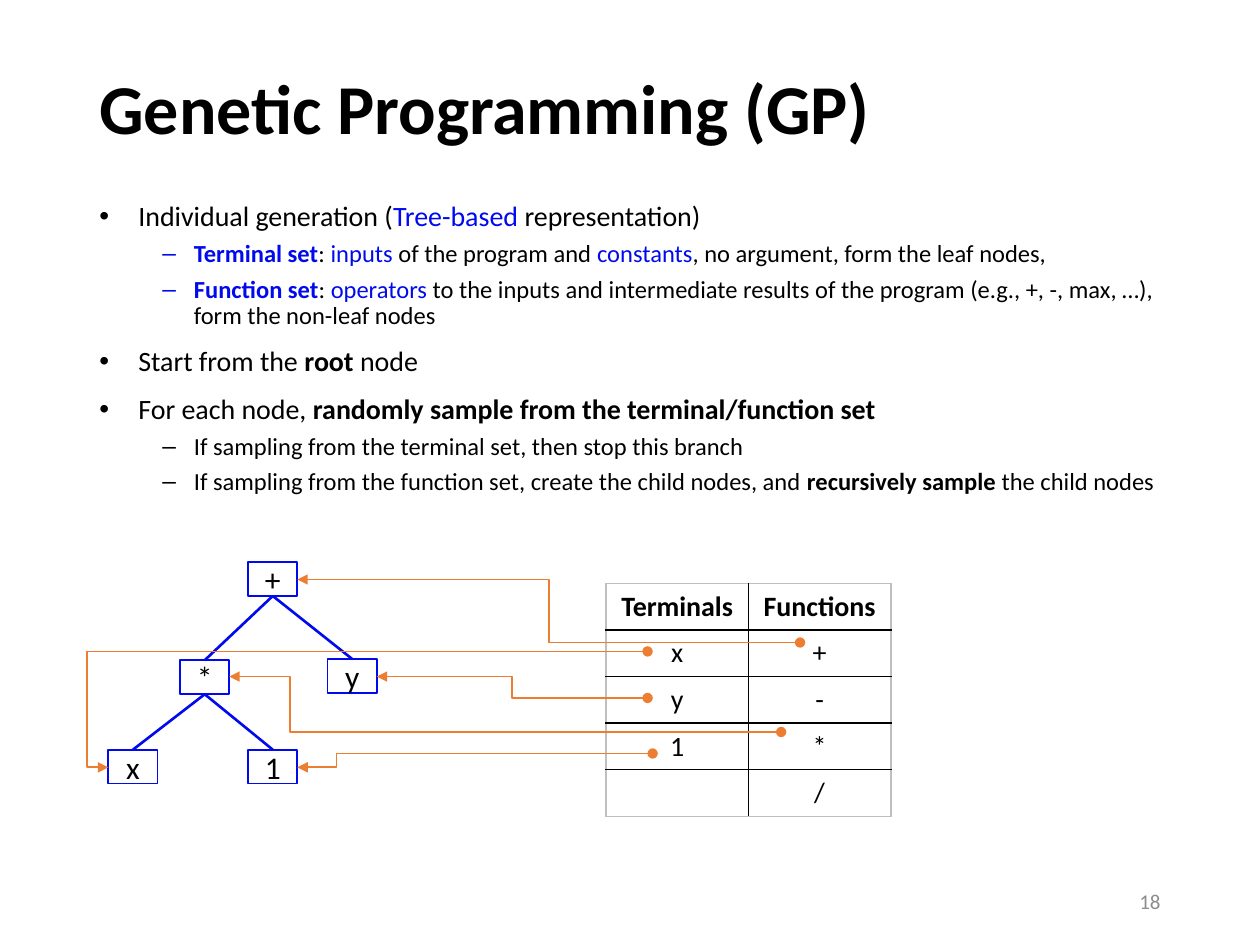
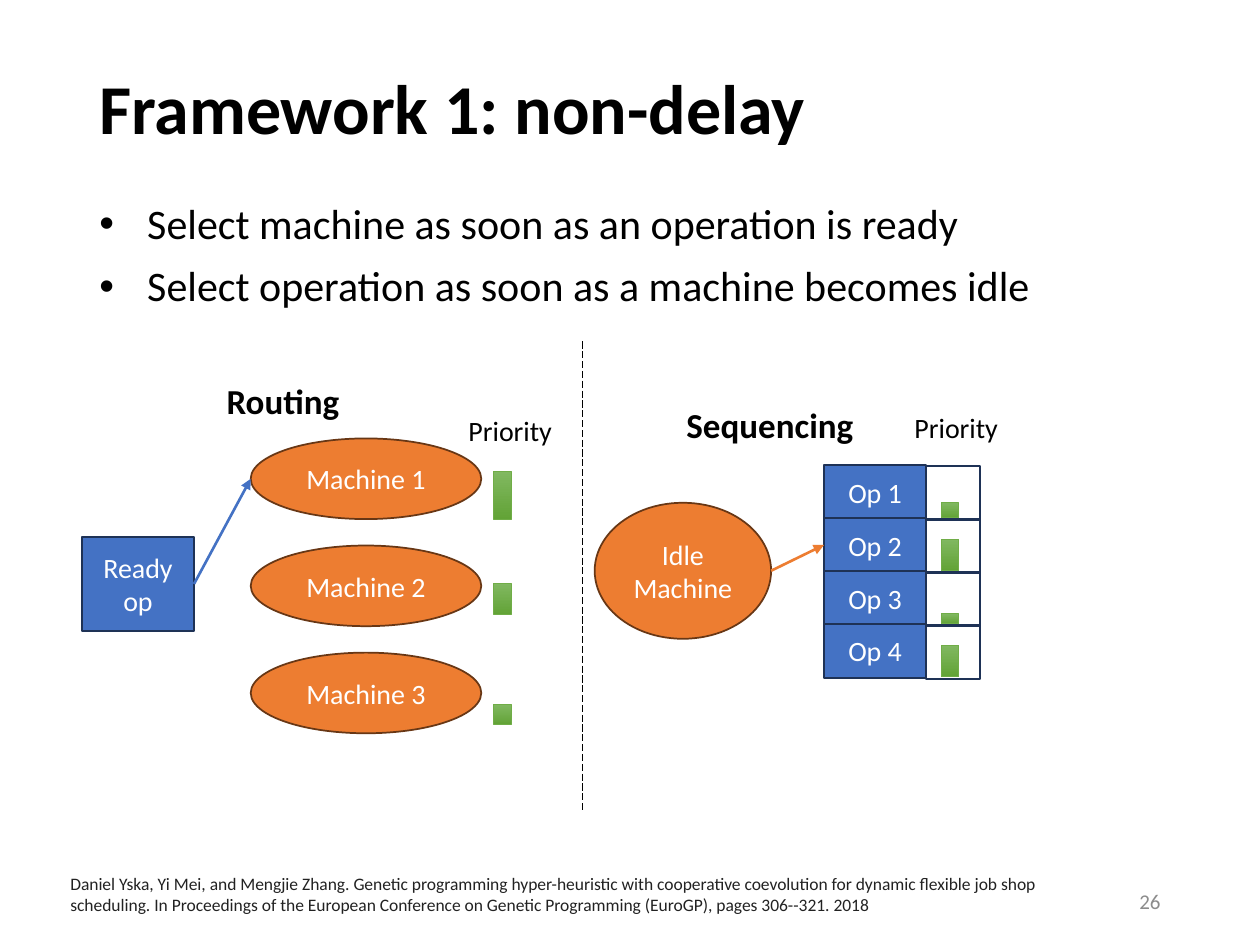
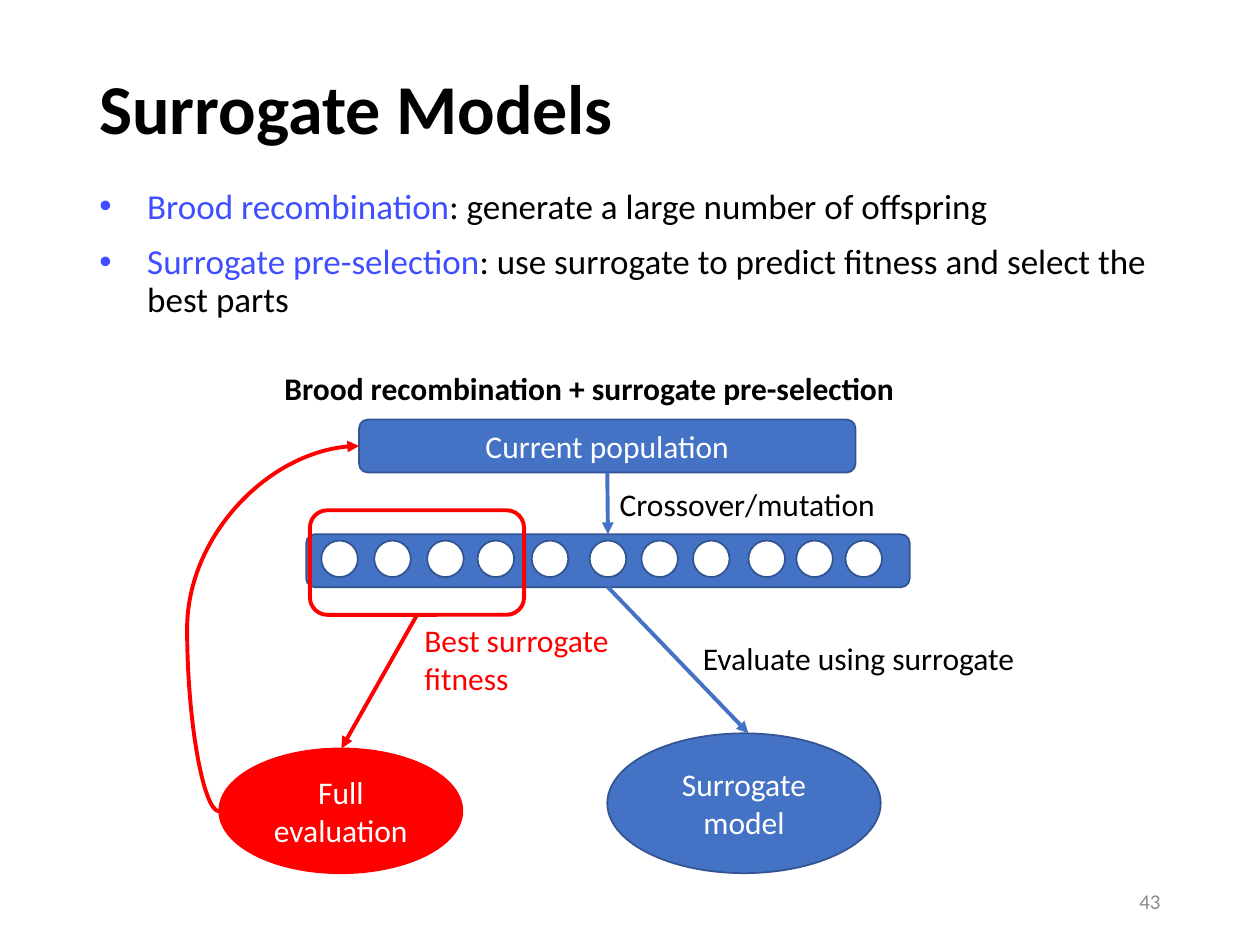
"""Build three lecture slides on genetic programming for scheduling."""
from lxml.etree import SubElement
from pptx import Presentation
from pptx.dml.color import RGBColor
from pptx.enum.dml import MSO_LINE
from pptx.enum.shapes import MSO_CONNECTOR as Link, MSO_SHAPE as Shape
from pptx.enum.text import MSO_ANCHOR as Anchor, MSO_AUTO_SIZE as AutoSize, PP_ALIGN as Align
from pptx.oxml.ns import qn
from pptx.util import Inches, Pt

FONT = "Calibri"
BLACK, WHITE, GREY, RED = "000000", "FFFFFF", "8C8C8C", "FF0000"
BLUE, NAVY, STEEL = "4472C4", "1E3256", "325491"
ORANGE, BROWN = "ED7D31", "683715"
GREEN, GREEN_TOP, GREEN_BASE = "70AD47", "81B861", "62A336"
TREE_BLUE, TERM_BLUE, TABLE_EDGE, INK = "000AEC", "3F4EFF", "BFBFBF", "222222"

GP_BULLETS = [
    (0, 16, [("Individual generation (",), ("Tree-based", TREE_BLUE), (" representation)",)]),
    (1, 14, [("Terminal set", TREE_BLUE, True), (": ",), ("inputs", TREE_BLUE),
             (" of the program and ",), ("constants", TREE_BLUE),
             (", no argument, form the leaf nodes,",)]),
    (1, 14, [("Function set", TREE_BLUE, True), (": ",), ("operators", TREE_BLUE),
             (" to the inputs and intermediate results of the program "
              "(e.g., +, -, max, …), form the non-leaf nodes",)]),
    (0, 16, [("Start from the ",), ("root", BLACK, True), (" node",)]),
    (0, 16, [("For each node, ",),
             ("randomly sample from the terminal/function set", BLACK, True)]),
    (1, 14, [("If sampling from the terminal set, then stop this branch",)]),
    (1, 14, [("If sampling from the function set, create the child nodes, and ",),
             ("recursively sample ", BLACK, True), ("the child nodes",)]),
]
SYMBOLS = [("Terminals", "Functions"), ("x", "+"), ("y", "-"), ("1", "*"), ("", "/")]
TREE_NODES = {"+": (1.97, 4.46), "*": (1.43, 5.24), "x": (0.86, 5.95),
              "1": (1.97, 5.95), "y": (2.6, 5.23)}
TREE_EDGES = [("+", "*"), ("+", "y"), ("*", "x"), ("*", "1")]
SAMPLES = [
    ((6.35, 5.1), (2.36, 4.6), 0.5),
    ((6.2, 5.81), (1.82, 5.37), 0.89),
    ((5.14, 5.17), (0.86, 6.09), 1.04),
    ((5.18, 5.98), (2.36, 6.09), 0.89),
    ((5.14, 5.54), (2.99, 5.37), 0.5),
]

FRAMEWORK_BULLETS = [
    (0, 24, [("Select machine as soon as an operation is ready",)]),
    (0, 24, [("Select operation as soon as a machine becomes idle",)]),
]
MACHINE_BARS = [(3.74, 0.38), (4.63, 0.25), (5.59, 0.16)]
OPERATION_BARS = [0.12, 0.25, 0.08, 0.25]
FRAMEWORK_LABELS = [
    ("Routing", (1.7, 2.96, 1.11, 0.44), 20, True),
    ("Sequencing", (5.35, 3.15, 1.54, 0.44), 20, True),
    ("Priority", (3.62, 3.23, 0.87, 0.37), 16, False),
    ("Priority", (7.16, 3.21, 0.87, 0.37), 16, False),
]
REFERENCE = ("Daniel Yska, Yi Mei, and Mengjie Zhang. Genetic programming hyper-heuristic with "
             "cooperative coevolution for dynamic flexible job shop scheduling. In Proceedings of "
             "the European Conference on Genetic Programming (EuroGP), pages 306--321. 2018")

SURROGATE_BULLETS = [
    (0, 20, [("Brood recombination", TERM_BLUE), (": generate a large number of offspring",)]),
    (0, 20, [("Surrogate pre-selection", TERM_BLUE),
             (": use surrogate to predict fitness and select the best parts",)]),
]
OFFSPRING_LEFTS = [2.55, 2.97, 3.39, 3.79, 4.22, 4.68, 5.09, 5.5, 5.94, 6.32, 6.71]


def colour(value):
    return RGBColor.from_string(value)


def inches(values):
    return [Inches(value) for value in values]


def add_run(para, text, size, shade=BLACK, bold=False):
    span = para.add_run()
    span.text = text
    span.font.name, span.font.size, span.font.bold = FONT, Pt(size), bold
    span.font.color.rgb = colour(shade)


def add_label(page, text, place, size, shade=BLACK, bold=False, wrap=False, grow=True,
              align=Align.LEFT, anchor=Anchor.TOP):
    frame = page.shapes.add_textbox(*inches(place)).text_frame
    frame.word_wrap, frame.vertical_anchor = wrap, anchor
    frame.auto_size = AutoSize.SHAPE_TO_FIT_TEXT if grow else AutoSize.NONE
    para = frame.paragraphs[0]
    para.alignment = align
    add_run(para, text, size, shade, bold)
    return para


def add_bullets(page, bullets, top, indent):
    frame = page.shapes.add_textbox(*inches((0.69, top, 8.62, 5.19))).text_frame
    frame.word_wrap = True
    for index, (level, size, runs) in enumerate(bullets):
        para = frame.add_paragraph() if index else frame.paragraphs[0]
        left, hang = (0.75, 0.25) if level else (indent, indent)
        para.level, para.line_spacing = level, 0.9
        para.space_before = Pt((5 if level else 10) if index else 0)
        props = para._p.get_or_add_pPr()
        props.set("marL", str(Inches(left)))
        props.set("indent", str(-Inches(hang)))
        SubElement(props, qn("a:buFont"), typeface="Arial")
        SubElement(props, qn("a:buChar"), char="–" if level else "•")
        for run in runs:
            add_run(para, run[0], size, *run[1:])


def add_box(page, kind, place, fill, line, text="", size=16, shade=WHITE, width=1):
    box = page.shapes.add_shape(kind, *inches(place))
    box.shadow.inherit = False
    if fill:
        box.fill.solid()
        box.fill.fore_color.rgb = colour(fill)
    else:
        box.fill.background()
    box.line.color.rgb, box.line.width = colour(line), Pt(width)
    if text:
        box.text_frame.vertical_anchor = Anchor.MIDDLE
        para = box.text_frame.paragraphs[0]
        para.alignment = Align.CENTER
        add_run(para, text, size, shade)
    return box


def add_bar(page, left, top, height):
    bar = add_box(page, Shape.RECTANGLE, (left, top, 0.14, height), GREEN, GREEN, width=0.5)
    bar.fill.gradient()
    bar.fill.gradient_angle = 270
    for stop, shade, position in zip(bar.fill.gradient_stops, (GREEN_TOP, GREEN_BASE), (0, 1)):
        stop.color.rgb, stop.position = colour(shade), position


def add_link(page, start, end, shade, width, kind=Link.STRAIGHT, head="", tail="",
             bend=None, dash=None, join_start=None, join_end=None):
    link = page.shapes.add_connector(kind, *inches(start + end))
    link.line.color.rgb, link.line.width = colour(shade), Pt(width)
    if dash:
        link.line.dash_style = dash
    if join_start:
        link.begin_connect(*join_start)
    if join_end:
        link.end_connect(*join_end)
    props = link._element.spPr
    outline = props.find(qn("a:ln"))
    for tag, style in (("a:headEnd", head), ("a:tailEnd", tail)):
        if style:
            SubElement(outline, qn(tag), type=style)
    SubElement(props, qn("a:effectLst"))
    if bend is not None:
        guides = props.find(qn("a:prstGeom")).find(qn("a:avLst"))
        SubElement(guides, qn("a:gd"), name="adj1", fmla=f"val {round(bend * 100000)}")


def add_symbol_table(page):
    rows, columns = len(SYMBOLS), len(SYMBOLS[0])
    table = page.shapes.add_table(rows, columns, *inches((4.81, 4.63, 2.26, 1.85))).table
    table.first_row = table.horz_banding = False
    for r, symbols in enumerate(SYMBOLS):
        for c, symbol in enumerate(symbols):
            cell = table.cell(r, c)
            props = cell._tc.get_or_add_tcPr()
            outer = {"L": c == 0, "R": c == columns - 1, "T": r == 0, "B": r == rows - 1}
            for side, at_edge in outer.items():
                edge = SubElement(props, qn(f"a:ln{side}"), w=str(Pt(1)))
                fill = SubElement(edge, qn("a:solidFill"))
                SubElement(fill, qn("a:srgbClr"), val=TABLE_EDGE if at_edge else BLACK)
            cell.fill.background()
            para = cell.text_frame.paragraphs[0]
            para.alignment = Align.CENTER
            if symbol:
                add_run(para, symbol, 16, BLACK, r == 0)
            else:
                SubElement(para._p, qn("a:endParaRPr"), sz="1600")


def add_page(deck, title, number, bullets, top=1.56, indent=0.38):
    page = deck.slides.add_slide(deck.slide_layouts[6])
    heading = add_label(page, title, (0.69, 0.4, 8.62, 0.97), 40, bold=True, wrap=True,
                        grow=False, anchor=Anchor.MIDDLE)
    heading.line_spacing = 0.9
    add_bullets(page, bullets, top, indent)
    add_label(page, number, (7.06, 6.95, 2.25, 0.4), 12, GREY, wrap=True, grow=False,
              align=Align.RIGHT, anchor=Anchor.MIDDLE)
    return page


def build_programming(deck):
    page = add_page(deck, "Genetic Programming (GP)", "18", GP_BULLETS, indent=0.31)
    add_symbol_table(page)
    nodes = {name: add_box(page, Shape.RECTANGLE, (*place, 0.39, 0.27), WHITE, TREE_BLUE,
                           name, 18, BLACK) for name, place in TREE_NODES.items()}
    for parent, child in TREE_EDGES:
        add_link(page, TREE_NODES[parent], TREE_NODES[child], TREE_BLUE, 1.5,
                 join_start=(nodes[parent], 2), join_end=(nodes[child], 0))
    for start, end, bend in SAMPLES:
        add_link(page, start, end, ORANGE, 1, Link.ELBOW, "oval", "triangle", bend)


def build_framework(deck):
    page = add_page(deck, "Framework 1: non-delay", "26", FRAMEWORK_BULLETS)
    ready = add_box(page, Shape.RECTANGLE, (0.65, 4.26, 0.89, 0.75), BLUE, NAVY, "Ready op")
    for index, (bar_top, height) in enumerate(MACHINE_BARS):
        add_box(page, Shape.OVAL, (1.99, 3.48 + index * 0.85, 1.83, 0.64), ORANGE, BROWN,
                f"Machine {index + 1}")
        add_bar(page, 3.92, bar_top, height)
    add_link(page, (1.55, 4.63), (1.99, 3.8), BLUE, 1.5, tail="triangle", join_start=(ready, 3))

    add_box(page, Shape.OVAL, (4.72, 3.99, 1.4, 1.08), ORANGE, BROWN, "Idle Machine")
    operations = []
    for index, height in enumerate(OPERATION_BARS):
        top = 3.69 + index * 0.42
        operations.append(add_box(page, Shape.RECTANGLE, (6.54, top, 0.81, 0.43), BLUE, NAVY,
                                  f"Op {index + 1}"))
        add_bar(page, 7.47, top + 0.42 - height, height)
        add_box(page, Shape.RECTANGLE, (7.35, top + 0.01, 0.43, 0.43), None, NAVY)
    add_link(page, (6.12, 4.53), (6.54, 4.33), ORANGE, 1.5, tail="triangle",
             join_end=(operations[1], 1))

    for text, place, size, bold in FRAMEWORK_LABELS:
        add_label(page, text, place, size, bold=bold)
    add_link(page, (4.62, 2.71), (4.62, 6.44), BLACK, 0.5, dash=MSO_LINE.LONG_DASH)
    add_label(page, REFERENCE, (0.46, 6.88, 8.34, 0.44), 10, INK, wrap=True)


def build_surrogate(deck):
    page = add_page(deck, "Surrogate Models", "43", SURROGATE_BULLETS, top=1.45)
    population = add_box(page, Shape.ROUNDED_RECTANGLE, (2.85, 3.33, 3.94, 0.42), BLUE, STEEL,
                         "Current population", 18)
    brood = add_box(page, Shape.ROUNDED_RECTANGLE, (2.43, 4.24, 4.79, 0.42), BLUE, STEEL)
    for left in OFFSPRING_LEFTS:
        add_box(page, Shape.OVAL, (left, 4.29, 0.29, 0.29), WHITE, STEEL)
    add_box(page, Shape.OVAL, (4.82, 5.82, 2.17, 1.11), BLUE, STEEL, "Surrogate model", 18)
    best = add_box(page, Shape.ROUNDED_RECTANGLE, (2.46, 4.05, 1.7, 0.83), None, RED, width=2.25)
    add_box(page, Shape.OVAL, (1.74, 5.94, 1.93, 0.99), RED, RED, "Full evaluation", 18)

    add_link(page, (4.82, 3.75), (4.82, 4.24), BLUE, 2.25, tail="triangle",
             join_start=(population, 2), join_end=(brood, 0))
    add_link(page, (4.82, 4.65), (5.94, 5.82), BLUE, 2.25, tail="triangle",
             join_start=(brood, 2))
    add_link(page, (3.31, 4.88), (2.71, 5.94), RED, 2.25, tail="triangle", join_start=(best, 2))
    add_link(page, (1.74, 6.44), (2.85, 3.54), RED, 2.25, Link.CURVE, tail="triangle",
             bend=-0.23)

    add_label(page, "Crossover/mutation", (4.82, 3.8, 2.25, 0.4), 18)
    add_label(page, "Evaluate using surrogate", (5.48, 5.02, 2.7, 0.4), 18)
    add_label(page, "Best surrogate fitness", (3.27, 4.88, 1.7, 0.71), 18, RED, wrap=True)
    add_label(page, "Brood recombination + surrogate pre-selection", (2.16, 2.88, 5.33, 0.4), 18,
              bold=True, wrap=True)


def main():
    deck = Presentation()
    deck.slide_width, deck.slide_height = Inches(10), Inches(7.5)
    build_programming(deck)
    build_framework(deck)
    build_surrogate(deck)
    deck.save("out.pptx")


if __name__ == "__main__":
    main()
